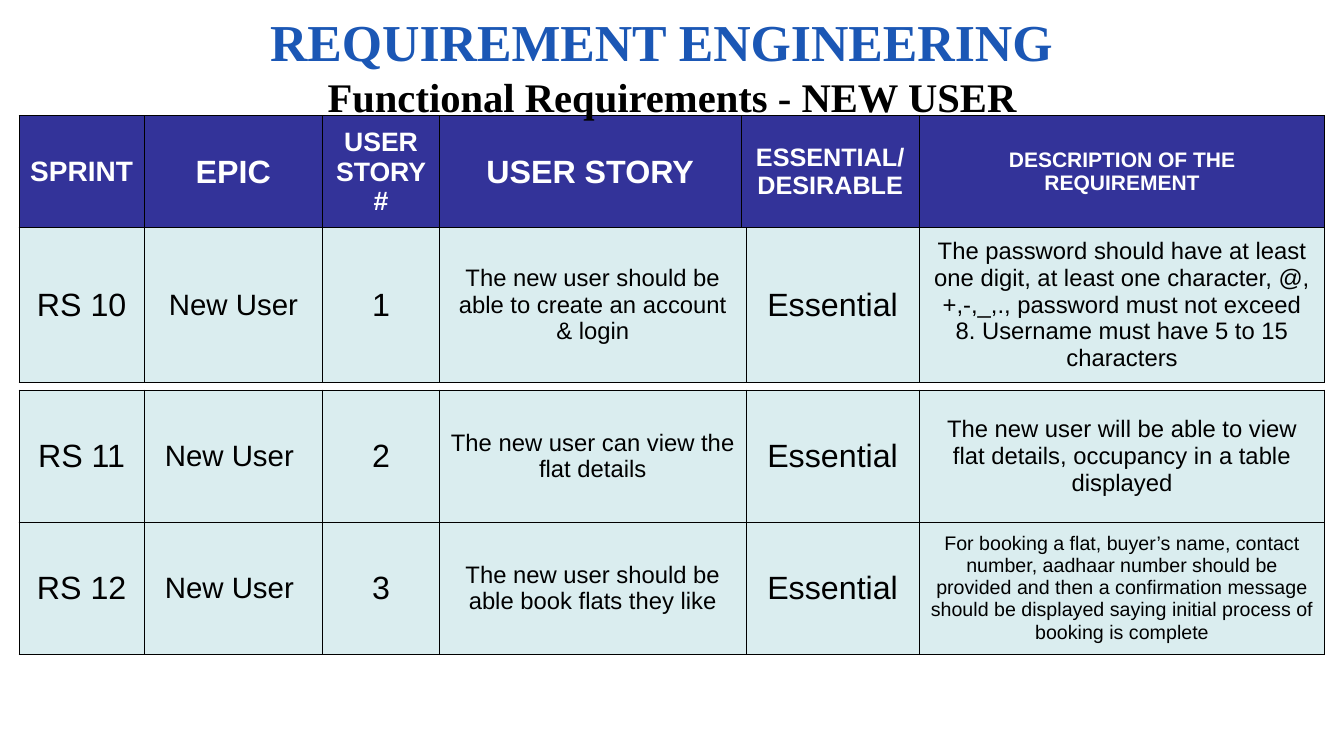
from dataclasses import dataclass

from lxml import etree
from pptx import Presentation
from pptx.dml.color import RGBColor
from pptx.enum.text import MSO_ANCHOR, MSO_AUTO_SIZE, PP_ALIGN
from pptx.oxml.ns import qn
from pptx.slide import Slide
from pptx.util import Emu, Pt

PX = 9144
CENTER = PP_ALIGN.CENTER
TOP = MSO_ANCHOR.TOP
MIDDLE = MSO_ANCHOR.MIDDLE
NO_AUTOFIT = MSO_AUTO_SIZE.NONE

BLACK = RGBColor(0x00, 0x00, 0x00)
WHITE = RGBColor(0xFF, 0xFF, 0xFF)
BLUE = RGBColor(0x1B, 0x57, 0xB5)
INDIGO = RGBColor(0x33, 0x33, 0x99)
PALE_TEAL = RGBColor(0xDA, 0xED, 0xEF)

TABLE_LEFT = 19
CELL_INSET = 10
BORDER_WIDTH = Pt(0.75)
HEADER_COLUMNS = (124, 177, 116, 299, 177, 402)
STORY_COLUMNS = (124, 177, 116, 304, 172, 402)


@dataclass(frozen=True)
class Strip:
    top: int
    height: int
    columns: tuple[int, ...]
    texts: tuple[str, ...]
    sizes: tuple[int, ...]
    fill: RGBColor = PALE_TEAL
    color: RGBColor = BLACK
    bold: bool = False


@dataclass(frozen=True)
class Heading:
    text: str
    size: int
    color: RGBColor
    indent: int


HEADINGS = (
    Heading("REQUIREMENT ENGINEERING", 37, BLUE, 0),
    Heading("Functional Requirements - NEW USER", 29, BLACK, 22),
)

STRIPS = (
    Strip(
        115, 111, HEADER_COLUMNS,
        ("SPRINT", "EPIC", "USER STORY#", "USER STORY",
         "ESSENTIAL/\nDESIRABLE", "DESCRIPTION OF THE REQUIREMENT"),
        (20, 23, 19, 23, 18, 15), INDIGO, WHITE, True,
    ),
    Strip(
        226, 153, STORY_COLUMNS,
        ("RS 10", "New User", "1",
         "The new user should be able to create an account & login",
         "Essential",
         "The password should have at least one digit, at least one character, "
         "@,+,-,_,., password must not exceed 8. Username must have 5 to 15 characters"),
        (23, 21, 23, 17, 23, 17),
    ),
    Strip(
        387, 131, STORY_COLUMNS,
        ("RS 11", "New User ", "2",
         "The new user can view the flat details",
         "Essential",
         "The new user will be able to view flat details, occupancy in a table displayed"),
        (23, 21, 23, 17, 23, 17),
    ),
    Strip(
        518, 131, STORY_COLUMNS,
        ("RS 12", "New User ", "3",
         "The new user should be able book flats they like",
         "Essential",
         "For booking a flat, buyer’s name, contact number, aadhaar number should be "
         "provided and then a confirmation message should be displayed saying initial "
         "process of booking is complete"),
        (23, 21, 23, 17, 23, 14),
    ),
)


def px(length: int) -> Emu:
    return Emu(length * PX)


def add_borders(cell) -> None:
    properties = cell._tc.get_or_add_tcPr()
    for position, side in enumerate(("a:lnL", "a:lnR", "a:lnT", "a:lnB")):
        border = etree.Element(qn(side), w=str(BORDER_WIDTH))
        solid = etree.SubElement(border, qn("a:solidFill"))
        etree.SubElement(solid, qn("a:srgbClr"), val=str(BLACK))
        properties.insert(position, border)


def add_strip(slide: Slide, strip: Strip) -> None:
    table = slide.shapes.add_table(
        1, len(strip.columns), px(TABLE_LEFT), px(strip.top),
        px(sum(strip.columns)), px(strip.height),
    ).table
    table.first_row = False
    table.horz_banding = False
    for index, (width, text, size) in enumerate(
        zip(strip.columns, strip.texts, strip.sizes)
    ):
        table.columns[index].width = px(width)
        cell = table.cell(0, index)
        cell.text = text
        cell.vertical_anchor = MIDDLE
        cell.margin_left = cell.margin_right = px(CELL_INSET)
        cell.margin_top = cell.margin_bottom = px(CELL_INSET)
        cell.fill.solid()
        cell.fill.fore_color.rgb = strip.fill
        add_borders(cell)
        for paragraph in cell.text_frame.paragraphs:
            paragraph.alignment = CENTER
            paragraph.font.name = "Arial"
            paragraph.font.size = Pt(size)
            paragraph.font.bold = strip.bold
            paragraph.font.color.rgb = strip.color


def set_title(slide: Slide) -> None:
    title = slide.shapes.title
    title.left, title.top, title.width, title.height = map(px, (86, 0, 1140, 131))
    frame = title.text_frame
    frame.word_wrap = True
    frame.auto_size = NO_AUTOFIT
    frame.vertical_anchor = TOP
    frame.margin_left = frame.margin_right = px(CELL_INSET)
    frame.margin_top = frame.margin_bottom = px(CELL_INSET)
    frame.text = "\n".join(heading.text for heading in HEADINGS)
    for paragraph, heading in zip(frame.paragraphs, HEADINGS):
        paragraph.alignment = CENTER
        paragraph._p.get_or_add_pPr().set("marL", str(px(heading.indent)))
        paragraph.font.name = "Times New Roman"
        paragraph.font.size = Pt(heading.size)
        paragraph.font.bold = True
        paragraph.font.color.rgb = heading.color
    title.element.getparent().append(title.element)


def main() -> None:
    presentation = Presentation()
    presentation.slide_width = px(1333)
    presentation.slide_height = px(750)
    slide = presentation.slides.add_slide(presentation.slide_layouts[5])
    for strip in STRIPS:
        add_strip(slide, strip)
    set_title(slide)
    presentation.save("out.pptx")


if __name__ == "__main__":
    main()
